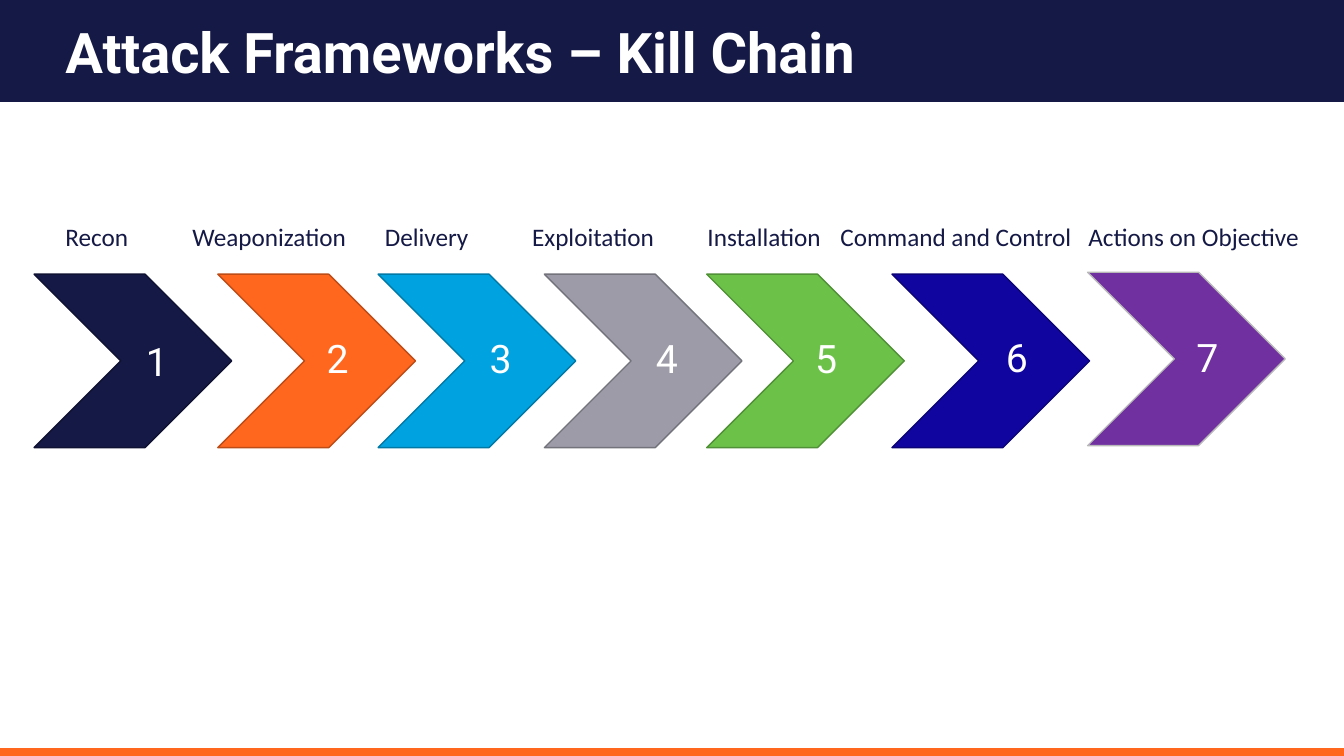
from dataclasses import dataclass

from pptx import Presentation
from pptx.dml.color import RGBColor
from pptx.enum.shapes import MSO_SHAPE
from pptx.enum.text import MSO_ANCHOR, MSO_AUTO_SIZE
from pptx.util import Cm, Pt


@dataclass(frozen=True)
class Theme:
    navy: str = "151945"
    orange: str = "FF671F"
    white: str = "FFFFFF"
    heading_font: str = "Roboto"
    label_font: str = "Calibri"
    title_size: int = 40
    number_size: int = 28
    label_size: int = 18
    # fill and outline of each stage
    stages: tuple = (
        ("151945", "101233"),
        ("FF671F", "BD4C17"),
        ("00A3E0", "0079A6"),
        ("9C9BA7", "73737C"),
        ("6CC249", "509036"),
        ("10069F", "0C0476"),
        ("7030A0", "B8B8B9"),
    )


SLIDE_W, SLIDE_H = 33.87, 19.05
CHEVRON_W, CHEVRON_H = 4.98, 4.37
NUMBER_W, NUMBER_H = 1.02, 1.45
LABEL_H = 1.02

# label, label (left, top, width), chevron (left, top), number (left, top), in cm
STAGES = [
    ("Recon", (1.4, 5.44, 2.11), (0.86, 6.91), (3.43, 8.38)),
    ("Weaponization", (4.6, 5.44, 4.42), (5.49, 6.91), (7.98, 8.31)),
    ("Delivery", (9.45, 5.44, 2.64), (9.53, 6.91), (12.09, 8.31)),
    ("Exploitation", (13.16, 5.46, 3.61), (13.72, 6.91), (16.28, 8.31)),
    ("Installation", (17.58, 5.44, 3.4), (17.81, 6.91), (20.29, 8.31)),
    ("Command and Control", (20.93, 5.46, 6.4), (22.48, 6.91), (25.1, 8.28)),
    ("Actions on Objective", (27.18, 5.44, 5.89), (27.41, 6.86), (29.9, 8.28)),
]


def write(tf, text, *, font, size, color, bold=False, spacing=None):
    p = tf.paragraphs[0]
    p.line_spacing = spacing
    r = p.add_run()
    r.text = text
    r.font.name = font
    r.font.size = Pt(size)
    r.font.bold = bold
    r.font.color.rgb = RGBColor.from_string(color)


class SlideBuilder:
    def __init__(self, slide, theme):
        self.slide = slide
        self.theme = theme

    def shape(self, kind, left, top, width, height, fill, line=None):
        sp = self.slide.shapes.add_shape(
            kind, Cm(left), Cm(top), Cm(width), Cm(height))
        sp.shadow.inherit = False
        sp.fill.solid()
        sp.fill.fore_color.rgb = RGBColor.from_string(fill)
        if line:
            sp.line.color.rgb = RGBColor.from_string(line)
            sp.line.width = Pt(1)
        else:
            sp.line.fill.background()

    def band(self, top, height, fill):
        self.shape(MSO_SHAPE.RECTANGLE, 0, top, SLIDE_W, height, fill)

    def chevron(self, left, top, fill, line):
        self.shape(MSO_SHAPE.CHEVRON, left, top, CHEVRON_W, CHEVRON_H, fill, line)

    def textbox(self, left, top, width, height):
        sp = self.slide.shapes.add_textbox(
            Cm(left), Cm(top), Cm(width), Cm(height))
        return sp.text_frame

    def title(self, text):
        tf = self.textbox(1.4, 0, 31.04, 2.79)
        tf.word_wrap = True
        tf.vertical_anchor = MSO_ANCHOR.MIDDLE
        write(tf, text, font=self.theme.heading_font, size=self.theme.title_size,
              color=self.theme.white, bold=True, spacing=0.9)

    def caption(self, text, left, top, width, height, **style):
        """Add one line of text in a box that grows with it."""
        tf = self.textbox(left, top, width, height)
        tf.word_wrap = False
        tf.auto_size = MSO_AUTO_SIZE.SHAPE_TO_FIT_TEXT
        write(tf, text, **style)

    def number(self, value, left, top):
        self.caption(str(value), left, top, NUMBER_W, NUMBER_H,
                     font=self.theme.heading_font,
                     size=self.theme.number_size, color=self.theme.white)

    def label(self, text, left, top, width):
        self.caption(text, left, top, width, LABEL_H,
                     font=self.theme.label_font,
                     size=self.theme.label_size, color=self.theme.navy)


def main():
    prs = Presentation()
    prs.slide_width, prs.slide_height = Cm(SLIDE_W), Cm(SLIDE_H)
    theme = Theme()
    builder = SlideBuilder(prs.slides.add_slide(prs.slide_layouts[6]), theme)

    builder.band(0, 2.57, theme.navy)
    builder.band(18.85, 0.2, theme.orange)
    builder.title("Attack Frameworks – Kill Chain")

    for i, (name, label_at, chevron_at, number_at) in enumerate(STAGES):
        builder.chevron(*chevron_at, *theme.stages[i])
        builder.number(i + 1, *number_at)
        builder.label(name, *label_at)

    prs.save("out.pptx")


if __name__ == "__main__":
    main()
